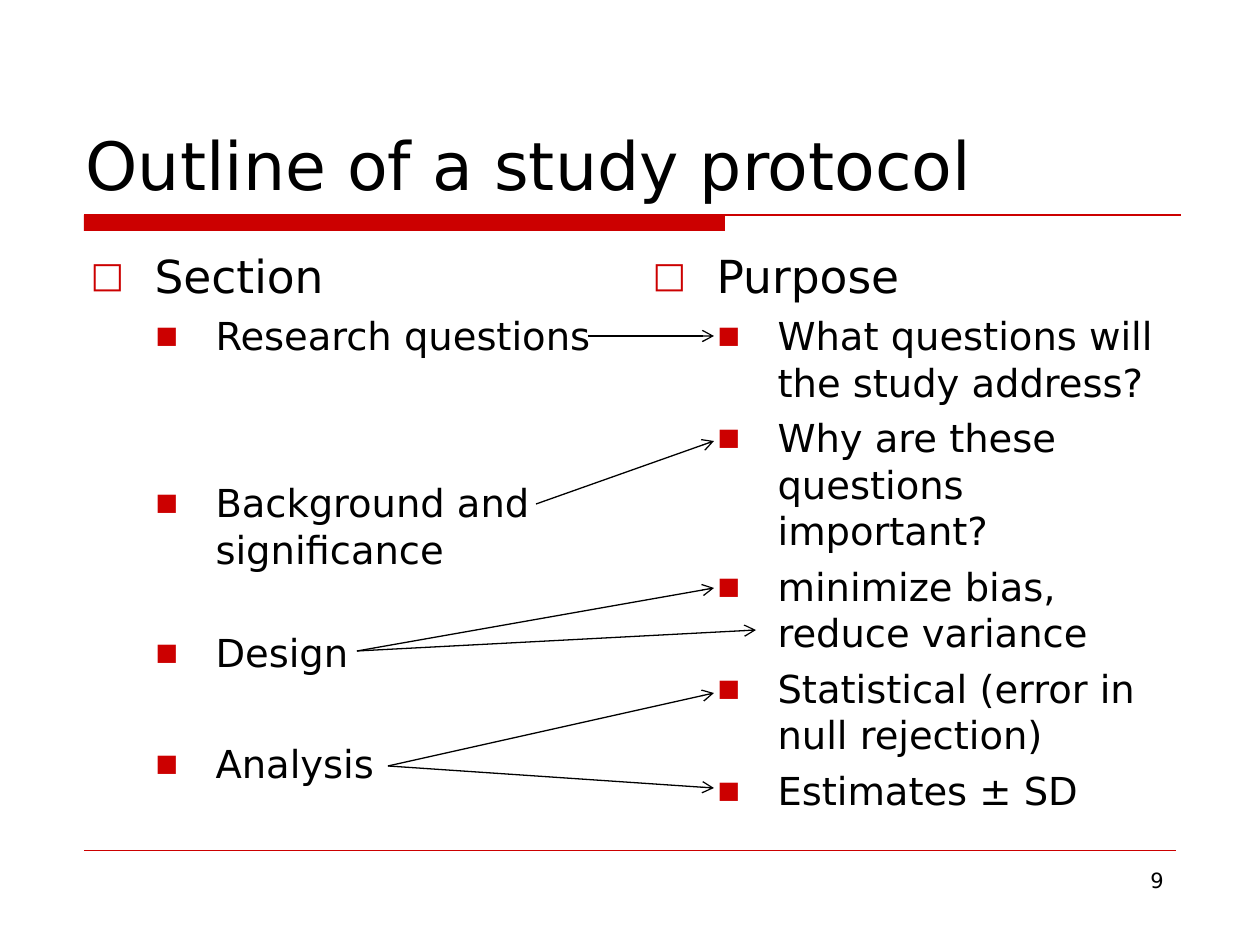
import pptx
import pptx.util
import pptx.dml.color
import pptx.enum.shapes
import pptx.enum.text
import pptx.oxml.ns
from dataclasses import dataclass
from lxml import etree

PX = 914400 / 126
SHAPE = pptx.enum.shapes
TEXT = pptx.enum.text


def emu(*px):
    return [pptx.util.Emu(round(n * PX)) for n in px]


def add_tag(node, tag, **attrs):
    return etree.SubElement(node, pptx.oxml.ns.qn(tag), attrs)


@dataclass(frozen=True)
class Theme:
    font: str = "DejaVu Sans"
    ink: str = "000000"
    red: str = "CC0000"
    title: int = 38
    head: int = 26
    item: int = 22
    small: int = 12


class Deck:
    def __init__(self, theme):
        self.theme = theme
        self.file = pptx.Presentation()
        self.file.slide_width, self.file.slide_height = emu(1260, 945)
        # Two Content layout: a title and two lists
        self.slide = self.file.slides.add_slide(self.file.slide_layouts[3])

    def place(self, shape, box):
        shape.left, shape.top, shape.width, shape.height = emu(*box)

    def run(self, para, text, size):
        run = para.add_run()
        run.text = text
        run.font.name = self.theme.font
        run.font.size = pptx.util.Pt(size)
        run.font.color.rgb = pptx.dml.color.RGBColor.from_string(self.theme.ink)

    def title(self, text, box):
        shape = self.slide.shapes.title
        self.place(shape, box)
        frame = shape.text_frame
        frame.auto_size = TEXT.MSO_AUTO_SIZE.NONE
        frame.vertical_anchor = TEXT.MSO_ANCHOR.BOTTOM
        para = frame.paragraphs[0]
        para.alignment = TEXT.PP_ALIGN.LEFT
        self.run(para, text, self.theme.title)

    def bullet(self, para, mark, scale, left, hang):
        props = para._p.get_or_add_pPr()
        props.set("marL", str(emu(left)[0]))
        props.set("indent", str(-emu(hang)[0]))
        color = add_tag(props, "a:buClr")
        add_tag(color, "a:srgbClr", val=self.theme.red)
        add_tag(props, "a:buSzPct", val=str(scale * 1000))
        add_tag(props, "a:buFont", typeface=self.theme.font)
        add_tag(props, "a:buChar", char=mark)

    def list(self, slot, box, head, items):
        shape = self.slide.placeholders[slot]
        self.place(shape, box)
        frame = shape.text_frame
        frame.auto_size = TEXT.MSO_AUTO_SIZE.NONE
        para = frame.paragraphs[0]
        para.space_before = pptx.util.Pt(6.5)
        self.bullet(para, "□", 78, 64, 64)
        self.run(para, head, self.theme.head)
        for text, gap in items:
            para = frame.add_paragraph()
            para.level = 1
            para.space_before = pptx.util.Pt(gap)
            self.bullet(para, "■", 62, 125, 60)
            self.run(para, text, self.theme.item)

    def bar(self, box):
        shape = self.slide.shapes.add_shape(SHAPE.MSO_SHAPE.RECTANGLE, *emu(*box))
        shape.shadow.inherit = False
        shape.fill.solid()
        shape.fill.fore_color.rgb = pptx.dml.color.RGBColor.from_string(self.theme.red)
        shape.line.fill.background()

    def line(self, start, end, color, width, arrow=False):
        line = self.slide.shapes.add_connector(
            SHAPE.MSO_CONNECTOR.STRAIGHT, *emu(*start, *end))
        line.line.color.rgb = pptx.dml.color.RGBColor.from_string(color)
        line.line.width = pptx.util.Pt(width)
        if arrow:
            add_tag(line.line._get_or_add_ln(), "a:tailEnd", type="arrow")
        add_tag(line._element.spPr, "a:effectLst")

    def note(self, text, box):
        frame = self.slide.shapes.add_textbox(*emu(*box)).text_frame
        frame.word_wrap = True
        para = frame.paragraphs[0]
        para.alignment = TEXT.PP_ALIGN.RIGHT
        self.run(para, text, self.theme.small)


def main():
    theme = Theme()
    deck = Deck(theme)

    # Rules and page number
    deck.bar((84, 215, 641, 16))
    deck.line((84, 215), (1181, 215), theme.red, 0.75)
    deck.line((84, 850), (1176, 850), theme.red, 0.25)
    deck.note("9", (903, 861, 273, 65))

    # Title and the two lists, each item with its space before
    deck.title("Outline of a study protocol", (73, 42, 1103, 168))
    deck.list(1, (78, 242, 541, 588), "Section", [
        ("Research questions", 5.5),
        ("Background and significance", 69),
        ("Design", 33),
        ("Analysis", 37),
    ])
    goals = [
        "What questions will the study address?",
        "Why are these questions important?",
        "minimize bias, reduce variance",
        "Statistical (error in null rejection)",
        "Estimates ± SD",
    ]
    deck.list(2, (640, 242, 541, 588), "Purpose", [(goal, 5.5) for goal in goals])

    # Arrows from each section to its purposes
    links = {
        (588, 336): [(714, 336)],
        (536, 504): [(714, 441)],
        (357, 651): [(714, 588), (756, 630)],
        (388, 766): [(714, 693), (714, 788)],
    }
    for start, ends in links.items():
        for end in ends:
            deck.line(start, end, theme.ink, 0.75, arrow=True)

    deck.file.save("out.pptx")


if __name__ == "__main__":
    main()
